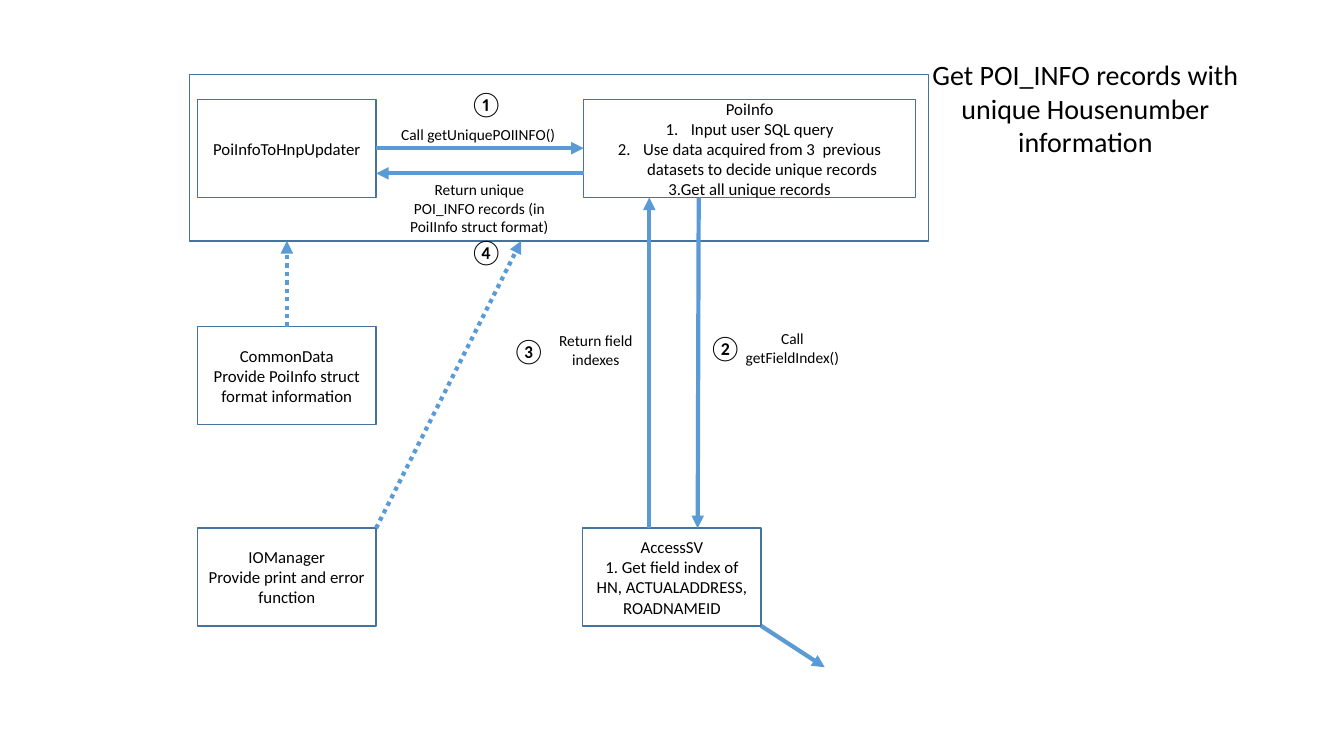
from pptx import Presentation
from pptx.dml.color import RGBColor
from pptx.enum.dml import MSO_LINE
from pptx.enum.shapes import MSO_CONNECTOR, MSO_SHAPE
from pptx.enum.text import MSO_ANCHOR, MSO_AUTO_SIZE, PP_ALIGN
from pptx.oxml.ns import qn
from pptx.util import Inches, Pt
from lxml import etree

RECT = MSO_SHAPE.RECTANGLE
LINE = MSO_CONNECTOR.STRAIGHT
DOT = MSO_LINE.ROUND_DOT
LEFT, MID = PP_ALIGN.LEFT, PP_ALIGN.CENTER
TOP, HALF = MSO_ANCHOR.TOP, MSO_ANCHOR.MIDDLE
FIXED = MSO_AUTO_SIZE.NONE
FONT, INK, EDGE, FLOW = "Calibri", "000000", "43739E", "5B9BD5"
WIDE, HIGH = 1.77, 0.97  # size of a module box


def color(code):
    return RGBColor.from_string(code)


def write(shape, text, size, align=MID, anchor=TOP):
    frame = shape.text_frame
    frame.text = text
    frame.word_wrap = True
    frame.auto_size = FIXED
    frame.vertical_anchor = anchor
    for para in frame.paragraphs:
        para.alignment = align
        for run in para.runs:
            run.font.name = FONT
            run.font.size = Pt(size)
            run.font.color.rgb = color(INK)


def place(shape, box):
    shape.left, shape.top, shape.width, shape.height = map(Inches, box)


def frame(slide, box, text=""):
    shape = slide.shapes.add_shape(RECT, *map(Inches, box))
    shape.shadow.inherit = False
    shape.fill.background()
    shape.line.color.rgb = color(EDGE)
    shape.line.width = Pt(1)
    write(shape, text, 12, anchor=HALF)
    return shape


def number(para):
    props = para._p.get_or_add_pPr()
    props.set("marL", str(Inches(0.25)))
    props.set("indent", str(-Inches(0.25)))
    etree.SubElement(props, qn("a:buFont"), typeface="+mj-lt")
    etree.SubElement(props, qn("a:buAutoNum"), type="arabicPeriod")


def label(slide, box, text, size=11, align=MID):
    write(slide.shapes.add_textbox(*map(Inches, box)), text, size, align)


def step(slide, left, top, mark):
    label(slide, (left, top, 0.48, 0.4), mark, 18, LEFT)


def arrow(slide, start, end, dash=None):
    link = slide.shapes.add_connector(LINE, *map(Inches, start + end))
    link.line.color.rgb = color(FLOW)
    link.line.width = Pt(3)
    if dash:
        link.line.dash_style = dash
    props = link._element.spPr
    etree.SubElement(props.find(qn("a:ln")), qn("a:tailEnd"), type="triangle")
    etree.SubElement(props, qn("a:effectLst"))


def heading(slide, box):
    place(slide.shapes.title, box)
    write(slide.shapes.title,
          "Get POI_INFO records with unique Housenumber information", 20)


def update(slide, box):
    """Outer frame with the updater, the record source and their calls."""
    x, y, w, h = box
    frame(slide, box)
    top = y + 0.25
    near, far = x + 0.08 + WIDE, x + 3.91
    frame(slide, (x + 0.08, top, WIDE, HIGH), "PoiInfoToHnpUpdater")
    info = frame(slide, (far, top, 3.29, HIGH),
                 "PoiInfo\nInput user SQL query\n"
                 "Use data acquired from 3  previous datasets to decide "
                 "unique records\n3.Get all unique records")
    for para in info.text_frame.paragraphs[1:3]:
        number(para)
    # Call and return
    arrow(slide, (near, y + 0.73), (far, y + 0.73))
    arrow(slide, (far, y + 0.98), (near, y + 0.98))
    label(slide, (x + 2, y + 0.45, 1.79, 0.29),
          "Call getUniquePOIINFO()", align=LEFT)
    label(slide, (x + 2.05, y + 1, 1.65, 0.66),
          "Return unique POI_INFO records (in PoiIInfo struct format)")
    step(slide, x + 2.68, y + 0.09, "①")
    step(slide, x + 2.68, y + 1.56, "④")


def support(slide, box):
    """Helper modules with dotted arrows up to the frame."""
    x, y, w, h = box
    low = y + h - HIGH
    mid = y + 0.85
    frame(slide, (x, mid, WIDE, HIGH),
          "CommonData\nProvide PoiInfo struct format information")
    frame(slide, (x, low, WIDE, HIGH),
          "IOManager\nProvide print and error function")
    arrow(slide, (x + WIDE / 2, mid), (x + WIDE / 2, y), DOT)
    arrow(slide, (x + WIDE, low), (x + w, y), DOT)


def access(slide, box):
    """Field index module with its calls from the record source."""
    x, y, w, h = box
    low = y + h - HIGH
    frame(slide, (x, low, w, HIGH),
          "AccessSV\n1. Get field index of HN, ACTUALADDRESS, ROADNAMEID")
    arrow(slide, (x + 1.15, y), (x + 1.14, low))
    arrow(slide, (x + 0.66, low), (x + 0.66, y))
    arrow(slide, (x + w, y + h), (x + w + 0.63, y + h + 0.41))
    label(slide, (x + 1.48, y + 1.26, 1.2, 0.47), "Call getFieldIndex()")
    label(slide, (x - 0.47, y + 1.28, 1.2, 0.47), "Return field indexes")
    step(slide, x + 1.15, y + 1.29, "②")
    step(slide, x - 0.8, y + 1.32, "③")


deck = Presentation()
deck.slide_width, deck.slide_height = Inches(13.33), Inches(7.5)
page = deck.slides.add_slide(deck.slide_layouts[5])
heading(page, (9.02, 0.52, 3.49, 1.11))
update(page, (1.88, 0.74, 7.33, 1.65))
support(page, (1.96, 2.39, 3.21, 3.82))
access(page, (5.78, 1.96, WIDE, 4.25))
deck.save("out.pptx")
